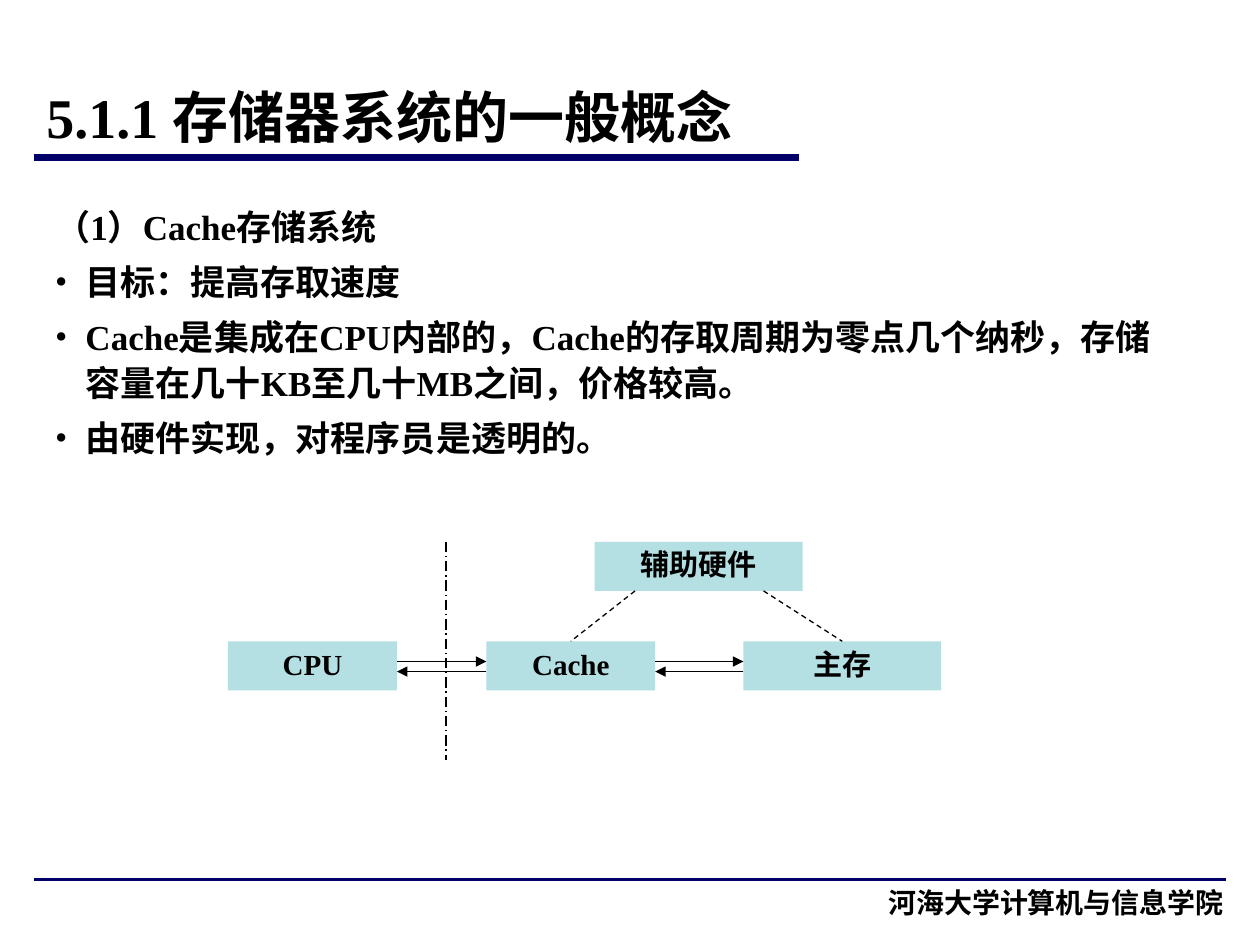
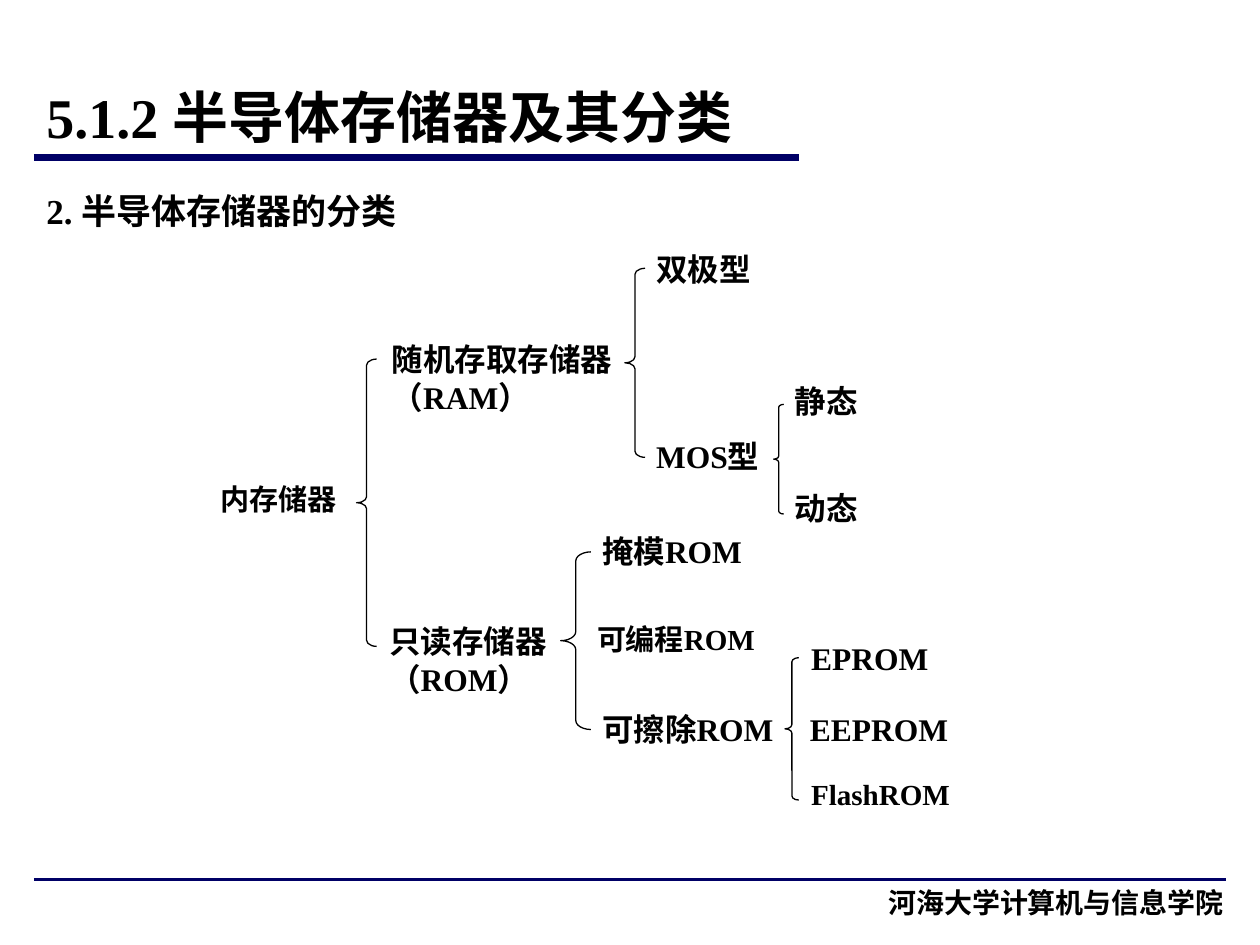
from dataclasses import dataclass

from lxml import etree
from pptx import Presentation
from pptx import util as u
from pptx.dml.color import RGBColor
from pptx.enum import dml, shapes, text
from pptx.oxml.ns import qn


@dataclass(frozen=True)
class Theme:
    ink: RGBColor = RGBColor(0, 0, 0)
    rule: RGBColor = RGBColor(0x00, 0x00, 0x66)
    block: RGBColor = RGBColor(0xB5, 0xE0, 0xE3)
    latin: str = "Times New Roman"
    chinese: str = "Noto Sans CJK SC"
    title: float = 32
    body: float = 20
    label: float = 18
    small: float = 16.6
    footer: float = 16
    thin: float = 0.75


theme = Theme()
ALIGN = text.PP_ALIGN
MIDDLE = text.MSO_ANCHOR.MIDDLE


def write(box, paragraphs, size, latin=None, anchor=text.MSO_ANCHOR.TOP, **layout):
    """Fill a box; each paragraph is a list of runs, Latin runs in the Latin face."""
    frame = box.text_frame
    frame.word_wrap = True
    frame.vertical_anchor = anchor
    for index, runs in enumerate(paragraphs):
        para = frame.paragraphs[0] if index == 0 else frame.add_paragraph()
        for name, value in layout.items():
            setattr(para, name, value)
        for words in runs:
            span = para.add_run()
            span.text = words
            face = latin or (theme.latin if any(c.isascii() for c in words) else theme.chinese)
            for name, value in {"name": face, "size": u.Pt(size), "bold": True}.items():
                setattr(span.font, name, value)
            span.font.color.rgb = theme.ink
            etree.SubElement(span.font._element, qn("a:ea"), typeface=theme.chinese)
    return frame


def draw_line(page, start, end, color=theme.ink, width=theme.thin, dash=None, arrow=False):
    line = page.shapes.add_connector(
        shapes.MSO_CONNECTOR.STRAIGHT, *(u.Inches(v) for v in (*start, *end)))
    line.line.color.rgb = color
    line.line.width = u.Pt(width)
    if dash:
        line.line.dash_style = dash
    if arrow:
        etree.SubElement(line.line._get_or_add_ln(), qn("a:tailEnd"), type="triangle")
    etree.SubElement(line._element.spPr, qn("a:effectLst"))
    return line


deck = Presentation()
deck.slide_width, deck.slide_height = u.Inches(10), u.Inches(7.5)

# Shared title, rules and footer
pages = []
for heading in ("5.1.1 存储器系统的一般概念", "5.1.2 半导体存储器及其分类"):
    page = deck.slides.add_slide(deck.slide_layouts[6])
    draw_line(page, (0.27, 1.25), (6.34, 1.25), theme.rule, 4)
    draw_line(page, (0.27, 6.98), (9.73, 6.98), theme.rule, 2)
    box = page.shapes.add_textbox(*map(u.Inches, (0.27, 0.52, 8.74, 0.8)))
    write(box, [[heading]], theme.title, anchor=MIDDLE, alignment=ALIGN.JUSTIFY)
    box = page.shapes.add_textbox(*map(u.Inches, (5.71, 6.98, 4.1, 0.52)))
    write(box, [["河海大学计算机与信息学院"]], theme.footer, alignment=ALIGN.RIGHT)
    pages.append(page)
cache_page, tree_page = pages

# Cache storage system: text
points = [
    "（1）Cache存储系统",
    "目标：提高存取速度",
    "Cache是集成在CPU内部的，Cache的存取周期为零点几个纳秒，存储容量在几十KB至几十MB之间，价格较高。",
    "由硬件实现，对程序员是透明的。",
]
box = cache_page.shapes.add_textbox(*map(u.Inches, (0.34, 1.55, 9.17, 2.28)))
frame = write(box, [[point] for point in points], theme.body, theme.latin,
              line_spacing=1.1, space_before=u.Pt(5))
for para in frame.paragraphs[1:]:
    props = para._p.get_or_add_pPr()
    props.set("marL", str(u.Inches(0.24)))
    props.set("indent", str(-u.Inches(0.24)))
    bullet_color = etree.SubElement(props, qn("a:buClr"))
    etree.SubElement(bullet_color, qn("a:srgbClr"), val=str(theme.ink))
    etree.SubElement(props, qn("a:buFont"), typeface=theme.latin)
    etree.SubElement(props, qn("a:buChar"), char="•")

# Cache storage system: diagram
block_height = 0.39
row_top, helper_top = 5.09, 4.3
blocks = {}
for name, left, top, width in (
    ("CPU", 1.81, row_top, 1.34),
    ("Cache", 3.86, row_top, 1.34),
    ("主存", 5.9, row_top, 1.57),
    ("辅助硬件", 4.72, helper_top, 1.65),
):
    block = cache_page.shapes.add_shape(
        shapes.MSO_SHAPE.RECTANGLE, *map(u.Inches, (left, top, width, block_height)))
    block.shadow.inherit = False
    block.fill.solid()
    block.fill.fore_color.rgb = theme.block
    block.line.fill.background()
    write(block, [[name]], theme.small, anchor=MIDDLE,
          alignment=ALIGN.CENTER, line_spacing=0.9)
    blocks[name] = block

for left, right in ((3.15, 3.86), (5.2, 5.9)):
    draw_line(cache_page, (left, 5.25), (right, 5.25), arrow=True)
    draw_line(cache_page, (right, 5.33), (left, 5.33), arrow=True)
for start_x, end_x, target in ((5.04, 4.53, "Cache"), (6.06, 6.69, "主存")):
    link = draw_line(cache_page, (start_x, helper_top + block_height), (end_x, row_top),
                     dash=dml.MSO_LINE.DASH)
    link.end_connect(blocks[target], 0)
draw_line(cache_page, (3.54, 4.3), (3.54, 6.03), dash=dml.MSO_LINE.LONG_DASH_DOT)

# Semiconductor memory classification
box = tree_page.shapes.add_textbox(*map(u.Inches, (0.27, 1.39, 3.47, 0.54)))
write(box, [["2. 半导体存储器的分类"]], theme.body, line_spacing=1.2, space_before=u.Pt(5))

tree_labels = [
    (["内存储器"], 1.65, 3.78, 1.34, 0.39, theme.small),
    (["随机存取存储器", "（RAM）"], 3.01, 2.53, 2.21, 0.94, theme.label),
    (["只读存储器", "（ROM）"], 2.99, 4.73, 1.89, 1.02, theme.label),
    (["双极型"], 5.11, 1.86, 1.57, 0.55, theme.label),
    (["MOS", "型"], 5.11, 3.26, 1.26, 0.71, theme.label),
    (["静态"], 6.21, 2.91, 1.18, 0.55, theme.label),
    (["动态"], 6.21, 3.72, 0.95, 0.63, theme.label),
    (["掩模", "ROM"], 4.68, 4.1, 1.57, 0.55, theme.label),
    (["可编程", "ROM"], 4.64, 4.81, 1.57, 0.55, theme.small),
    (["可擦除", "ROM"], 4.68, 5.51, 1.73, 0.55, theme.label),
    (["EPROM"], 6.34, 4.95, 1.73, 0.55, theme.label),
    (["EEPROM"], 6.33, 5.55, 1.65, 0.47, theme.label),
    (["FlashROM"], 6.34, 6.12, 1.73, 0.39, theme.small),
]
for runs, left, top, width, height, size in tree_labels:
    box = tree_page.shapes.add_textbox(*map(u.Inches, (left, top, width, height)))
    write(box, [runs], size, anchor=MIDDLE,
          line_spacing=0.9 if size == theme.small else 1.0)

for bounds in (
    (2.83, 2.85, 0.16, 2.28),
    (4.96, 2.13, 0.16, 1.5),
    (6.14, 3.21, 0.08, 0.87),
    (4.45, 4.38, 0.24, 1.41),
    (6.23, 5.22, 0.11, 1.13),
):
    brace = tree_page.shapes.add_shape(shapes.MSO_SHAPE.LEFT_BRACE, *map(u.Inches, bounds))
    brace.shadow.inherit = False
    brace.fill.background()
    brace.line.color.rgb = theme.ink
    brace.line.width = u.Pt(theme.thin)
    brace.adjustments[0] = 0.3

deck.save("out.pptx")
